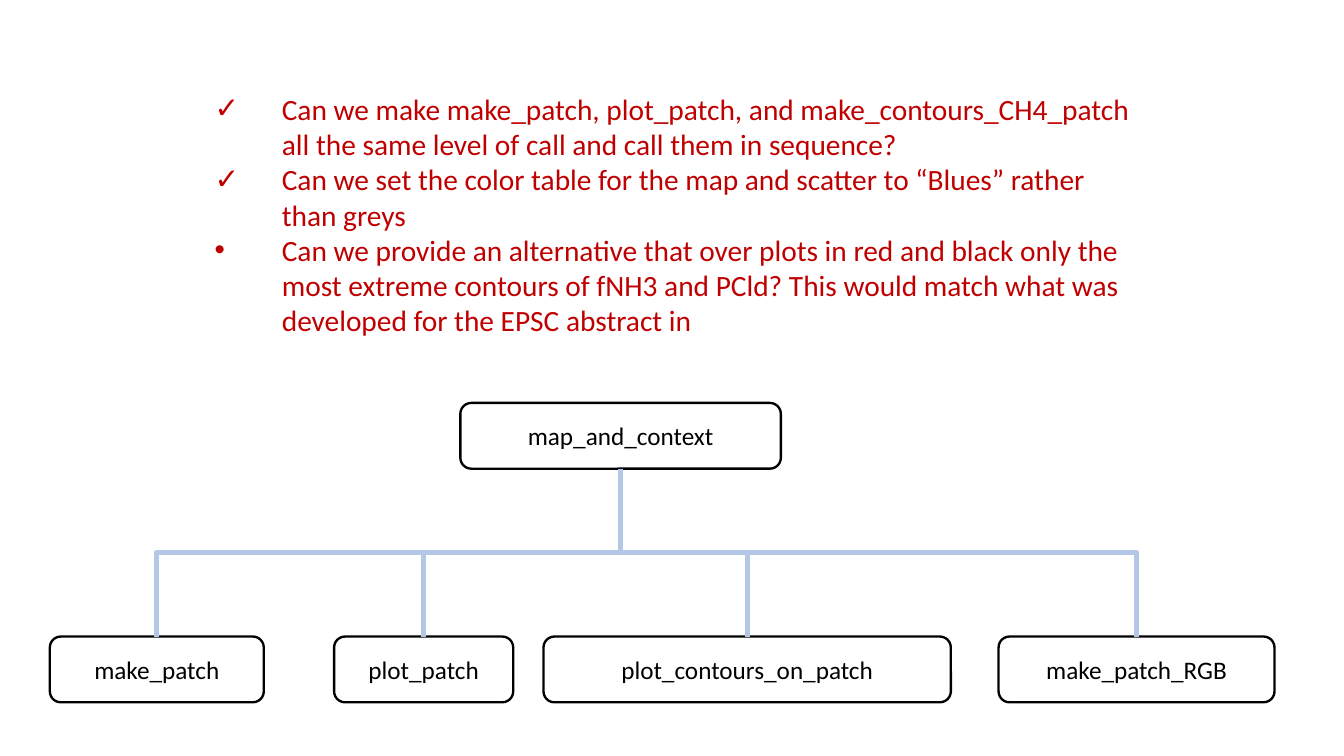
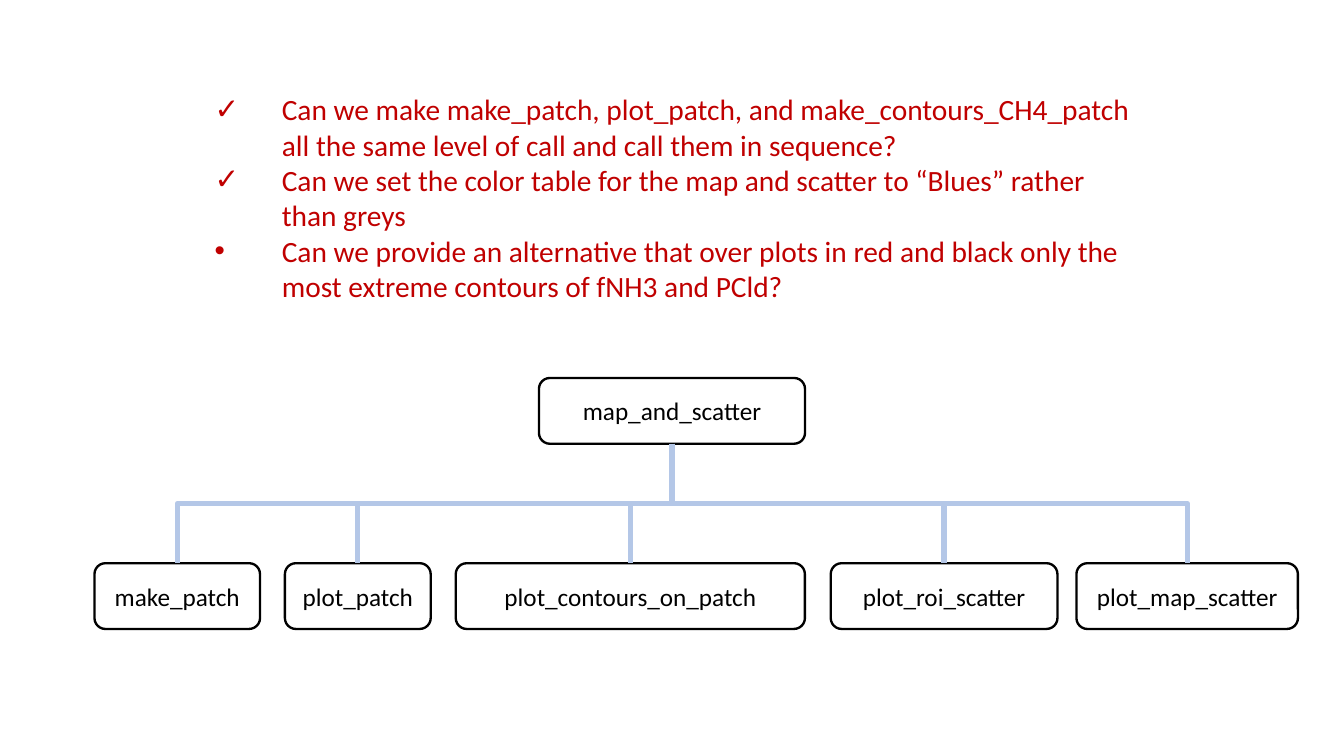
from lxml.etree import SubElement
from pptx import Presentation
from pptx.dml.color import RGBColor
from pptx.enum.shapes import MSO_CONNECTOR as Bend, MSO_SHAPE as Kind
from pptx.enum.text import MSO_ANCHOR as Anchor, MSO_AUTO_SIZE as Fit, PP_ALIGN as Align
from pptx.oxml.ns import qn
from pptx.util import Inches, Pt

BLACK, WHITE, RED, BLUE = "000000", "FFFFFF", "C00000", "B4C7E7"
FONT = "Calibri"
GRID = 100  # columns and rows on a slide
BOX_ROWS = 8.7
TOP, BOTTOM = 0, 2  # connection sites of a box


def tint(code):
    return RGBColor.from_string(code)


class Deck:
    """Holds the shared style and the slide being built."""

    def __init__(self):
        self.prs = Presentation()
        self.prs.slide_width = Inches(17.78)
        self.prs.slide_height = Inches(10)
        self.slide = None

    def cols(self, n):
        return round(self.prs.slide_width * n / GRID)

    def rows(self, n):
        return round(self.prs.slide_height * n / GRID)

    def page(self):
        self.slide = self.prs.slides.add_slide(self.prs.slide_layouts[1])
        title = self.slide.shapes.title.element
        title.getparent().remove(title)

    def text(self, para, words, size, color):
        run = para.add_run()
        run.text = words
        font = run.font
        font.name, font.size = FONT, Pt(size)
        font.color.rgb = tint(color)

    def points(self, top, high, items):
        body = self.slide.placeholders[1]
        body.left, body.top = self.cols(15.41), self.rows(top)
        body.width, body.height = self.cols(69.18), self.rows(high)
        frame = body.text_frame
        frame.word_wrap = True
        frame.auto_size = Fit.SHAPE_TO_FIT_TEXT
        frame.vertical_anchor = Anchor.TOP
        indent = self.cols(5)
        for i, (mark, words) in enumerate(items):
            para = frame.add_paragraph() if i else frame.paragraphs[0]
            para.space_before = Pt(0)
            props = para._p.get_or_add_pPr()
            props.set("marL", str(indent))
            props.set("indent", str(-indent))
            SubElement(props, qn("a:buFont"), typeface="Arial")
            SubElement(props, qn("a:buChar"), char=mark)
            self.text(para, words, 28, RED)

    def box(self, words, left, wide, top):
        box = self.slide.shapes.add_shape(
            Kind.ROUNDED_RECTANGLE, self.cols(left), self.rows(top),
            self.cols(wide), self.rows(BOX_ROWS))
        box.shadow.inherit = False
        box.fill.solid()
        box.fill.fore_color.rgb = tint(WHITE)
        box.line.color.rgb = tint(BLACK)
        box.line.width = Pt(2.25)
        frame = box.text_frame
        frame.word_wrap = True
        frame.vertical_anchor = Anchor.MIDDLE
        frame.margin_left = frame.margin_right = 0
        frame.margin_top = frame.margin_bottom = 0
        para = frame.paragraphs[0]
        para.alignment = Align.CENTER
        self.text(para, words, 24, BLACK)
        return box

    def elbow(self, root, leaf):
        """Join two boxes by an elbow, turned so that it leaves downwards."""
        line = self.slide.shapes.add_connector(Bend.ELBOW, 0, 0, 0, 0)
        line.begin_connect(root, BOTTOM)
        line.end_connect(leaf, TOP)
        right = line.end_x > line.begin_x
        mid_x = line.left + line.width // 2
        mid_y = line.top + line.height // 2
        wide, high = line.height, line.width
        line.left, line.top = mid_x - wide // 2, mid_y - high // 2
        line.width, line.height = wide, high
        props = line.element.spPr
        frame = props.find(qn("a:xfrm"))
        frame.set("rot", str((270 if right else 90) * 60000))
        frame.set("flipH", str(int(right)))
        line.line.color.rgb = tint(BLUE)
        line.line.width = Pt(5)
        SubElement(props, qn("a:effectLst"))

    def tree(self, root, root_top, leaves, leaf_top):
        head = self.box(*root, root_top)
        tips = [self.box(*leaf, leaf_top) for leaf in leaves]
        for tip in tips:
            self.elbow(head, tip)


DONE = [
    ("✓", "Can we make make_patch, plot_patch, and make_contours_CH4_patch "
          "all the same level of call and call them in sequence?"),
    ("✓", "Can we set the color table for the map and scatter to “Blues” "
          "rather than greys"),
]
OPEN = ("Can we provide an alternative that over plots in red and black only "
        "the most extreme contours of fNH3 and PCld?")
MORE = " This would match what was developed for the EPSC abstract in"


def main():
    deck = Deck()

    deck.page()
    deck.points(11.5, 38.7, DONE + [("•", OPEN + MORE)])
    deck.tree(("map_and_context", 34.25, 23.85), 53.3, [
        ("make_patch", 3.71, 15.92),
        ("plot_patch", 24.86, 13.33),
        ("plot_contours_on_patch", 40.44, 30.31),
        ("make_patch_RGB", 74.3, 20.53),
    ], 84.2)

    deck.page()
    deck.points(11.6, 34, DONE + [("•", OPEN)])
    deck.tree(("map_and_scatter", 40.1, 19.8), 50, [
        ("make_patch", 7.03, 12.32),
        ("plot_patch", 21.2, 10.85),
        ("plot_contours_on_patch", 33.91, 25.98),
        ("plot_roi_scatter", 61.81, 16.87),
        ("plot_map_scatter", 80.09, 16.48),
    ], 74.5)

    deck.prs.save("out.pptx")


if __name__ == "__main__":
    main()
